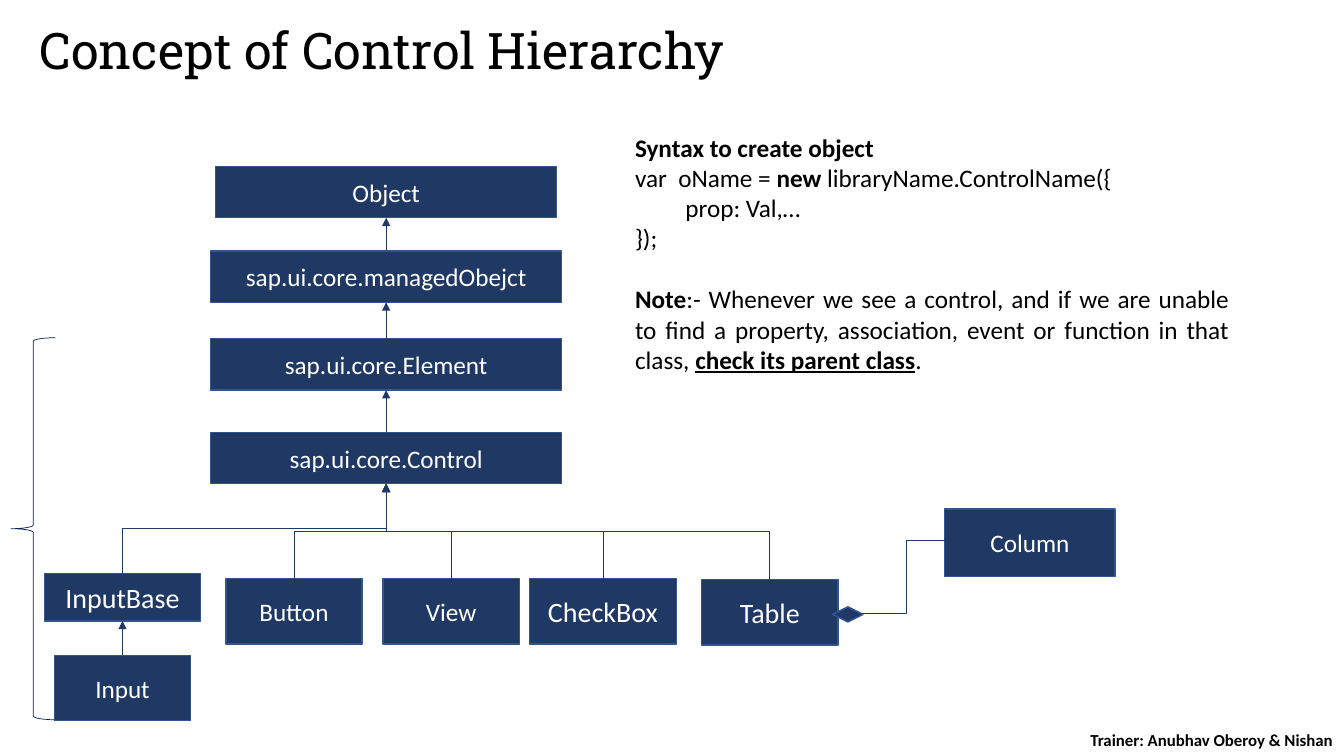
import dataclasses

import lxml.etree
import pptx
import pptx.dml.color
import pptx.enum.shapes
import pptx.enum.text
import pptx.oxml.ns
import pptx.util

Inches = pptx.util.Inches
Align = pptx.enum.text.PP_ALIGN
Anchor = pptx.enum.text.MSO_ANCHOR
Preset = pptx.enum.shapes.MSO_SHAPE
Connector = pptx.enum.shapes.MSO_CONNECTOR
qn = pptx.oxml.ns.qn
TOP, LEFT, BOTTOM, RIGHT = range(4)


@dataclasses.dataclass(frozen=True)
class Theme:
    navy: str = "203864"
    edge: str = "325491"
    brace: str = "002060"
    black: str = "000000"
    white: str = "FFFFFF"
    heading_font: str = "Roboto Slab"
    body_font: str = "Calibri"
    title_size: int = 36
    large_size: int = 20
    body_size: int = 18
    footer_size: int = 12
    edge_width: float = 1
    line_width: float = 0.5


@dataclasses.dataclass(frozen=True)
class Box:
    left: float
    top: float
    width: float
    height: float

    def inner(self, left, top, width, height):
        return Box(self.left + left, self.top + top, width, height)

    def lengths(self):
        return [Inches(value) for value in (self.left, self.top, self.width, self.height)]


THEME = Theme()


def color(value):
    return pptx.dml.color.RGBColor.from_string(value)


def write(paragraph, *runs, font=THEME.body_font, size=THEME.body_size, ink=THEME.black,
          align=Align.LEFT, bold=False, space_before=0, line_spacing=1.0):
    paragraph.alignment = align
    paragraph.space_before = pptx.util.Pt(space_before)
    paragraph.line_spacing = line_spacing
    for text, *styles in runs:
        run = paragraph.add_run()
        run.text = text
        run.font.name = font
        run.font.size = pptx.util.Pt(size)
        run.font.color.rgb = color(ink)
        run.font.bold = bold or "bold" in styles
        run.font.underline = "underline" in styles


def add_text_frame(slide, box, anchor=Anchor.TOP):
    text_frame = slide.shapes.add_textbox(*box.lengths()).text_frame
    text_frame.word_wrap = True
    text_frame.vertical_anchor = anchor
    return text_frame


def add_filled(slide, preset, box):
    shape = slide.shapes.add_shape(preset, *box.lengths())
    shape.shadow.inherit = False
    shape.fill.solid()
    shape.fill.fore_color.rgb = color(THEME.navy)
    shape.line.color.rgb = color(THEME.edge)
    shape.line.width = pptx.util.Pt(THEME.edge_width)
    return shape


def add_node(slide, box, label, size=THEME.body_size):
    node = add_filled(slide, Preset.RECTANGLE, box)
    node.text_frame.vertical_anchor = Anchor.MIDDLE
    write(node.text_frame.paragraphs[0], (label,), size=size, ink=THEME.white, align=Align.CENTER)
    return node


def add_line(slide, kind, points=(0, 0, 0, 0), arrow=True):
    connector = slide.shapes.add_connector(kind, *[Inches(value) for value in points])
    connector.line.color.rgb = color(THEME.navy)
    connector.line.width = pptx.util.Pt(THEME.line_width)
    properties = connector._element.spPr
    if arrow:
        lxml.etree.SubElement(properties.find(qn("a:ln")), qn("a:tailEnd"), type="triangle")
    lxml.etree.SubElement(properties, qn("a:effectLst"))
    return connector


def link_up(slide, child, parent, kind=Connector.STRAIGHT):
    connector = add_line(slide, kind)
    connector.begin_connect(child, TOP)
    connector.end_connect(parent, BOTTOM)
    if kind == Connector.ELBOW:
        turn_upright(connector)


def turn_upright(connector):
    run = connector.end_x - connector.begin_x
    rise = connector.begin_y - connector.end_y
    center_x = (connector.begin_x + connector.end_x) // 2
    center_y = (connector.begin_y + connector.end_y) // 2
    side = 1 if run > 0 else -1
    connector.begin_x = center_x + side * rise // 2
    connector.end_x = center_x - side * rise // 2
    connector.begin_y = center_y + abs(run) // 2
    connector.end_y = center_y - abs(run) // 2
    degrees = 90 if run > 0 else 270
    connector._element.spPr.find(qn("a:xfrm")).set("rot", str(degrees * 60000))


def add_title(slide, box):
    title = slide.shapes.title
    title.left, title.top, title.width, title.height = box.lengths()
    title.text_frame.vertical_anchor = Anchor.TOP
    write(title.text_frame.paragraphs[0], ("Concept of Control Hierarchy",),
          font=THEME.heading_font, size=THEME.title_size, line_spacing=0.9)


def add_hierarchy(slide, box):
    brace = slide.shapes.add_shape(Preset.LEFT_BRACE, *box.inner(0, 1.7, 0.44, 3.79).lengths())
    brace.shadow.inherit = False
    brace.fill.background()
    brace.line.color.rgb = color(THEME.brace)
    brace.line.width = pptx.util.Pt(THEME.line_width)

    ancestors = [
        ("Object", 2.03, 0, 3.38),
        ("sap.ui.core.managedObejct", 1.98, 0.84, 3.48),
        ("sap.ui.core.Element", 1.98, 1.71, 3.48),
        ("sap.ui.core.Control", 1.98, 2.64, 3.48),
    ]
    chain = [add_node(slide, box.inner(left, top, width, 0.51), label)
             for label, left, top, width in ancestors]
    for parent, child in zip(chain, chain[1:]):
        link_up(slide, child, parent)

    controls = [
        ("InputBase", 0.33, 4.04, 1.55, 0.47, THEME.large_size),
        ("Button", 2.13, 4.09, 1.35, 0.65, THEME.body_size),
        ("View", 3.69, 4.09, 1.35, 0.65, THEME.body_size),
        ("CheckBox", 5.14, 4.09, 1.46, 0.65, THEME.large_size),
        ("Table", 6.85, 4.1, 1.35, 0.65, THEME.large_size),
    ]
    children = [add_node(slide, box.inner(*place), label, size)
                for label, *place, size in controls]
    for child in children:
        link_up(slide, child, chain[-1], Connector.ELBOW)

    input_node = add_node(slide, box.inner(0.43, 4.85, 1.35, 0.65), "Input")
    link_up(slide, input_node, children[0])


def add_column_part(slide, box):
    add_node(slide, box.inner(1.11, 0, 1.69, 0.67), "Column")
    points = (box.left + 1.16, box.top + 0.31, box.left + 0.29, box.top + 1.04)
    add_line(slide, Connector.ELBOW, points, arrow=False)
    add_filled(slide, Preset.FLOWCHART_DECISION, box.inner(0, 0.97, 0.3, 0.15))


def add_syntax(slide, box):
    text_frame = add_text_frame(slide, box)
    code = [
        [("Syntax to create object", "bold")],
        [("var  oName = ",), ("new ", "bold"), ("libraryName.ControlName({",)],
        [("\tprop: Val,…",)],
        [("});",)],
    ]
    write(text_frame.paragraphs[0], *code[0])
    for runs in code[1:]:
        write(text_frame.add_paragraph(), *runs)
    write(text_frame.add_paragraph(), ("Note", "bold"),
          (":- Whenever we see a control, and if we are unable to find a property, "
           "association, event or function in that class, ",),
          ("check its parent class", "bold", "underline"), (". ",),
          align=Align.JUSTIFY, space_before=22)


def add_footer(slide, box):
    text_frame = add_text_frame(slide, box, Anchor.MIDDLE)
    write(text_frame.paragraphs[0], ("Trainer: Anubhav Oberoy & Nishan",),
          size=THEME.footer_size, bold=True, align=Align.RIGHT)


def main():
    presentation = pptx.Presentation()
    presentation.slide_width = Inches(13.33)
    presentation.slide_height = Inches(7.5)
    slide = presentation.slides.add_slide(presentation.slide_layouts.get_by_name("Title Only"))
    add_title(slide, Box(0.29, 0.21, 12.16, 0.78))
    add_footer(slide, Box(10.46, 7.18, 2.86, 0.31))
    add_hierarchy(slide, Box(0.11, 1.65, 8.2, 5.5))
    add_column_part(slide, Box(8.26, 5.05, 2.8, 1.12))
    add_syntax(slide, Box(6.2, 1.26, 6.09, 2.52))
    presentation.save("out.pptx")


if __name__ == "__main__":
    main()
